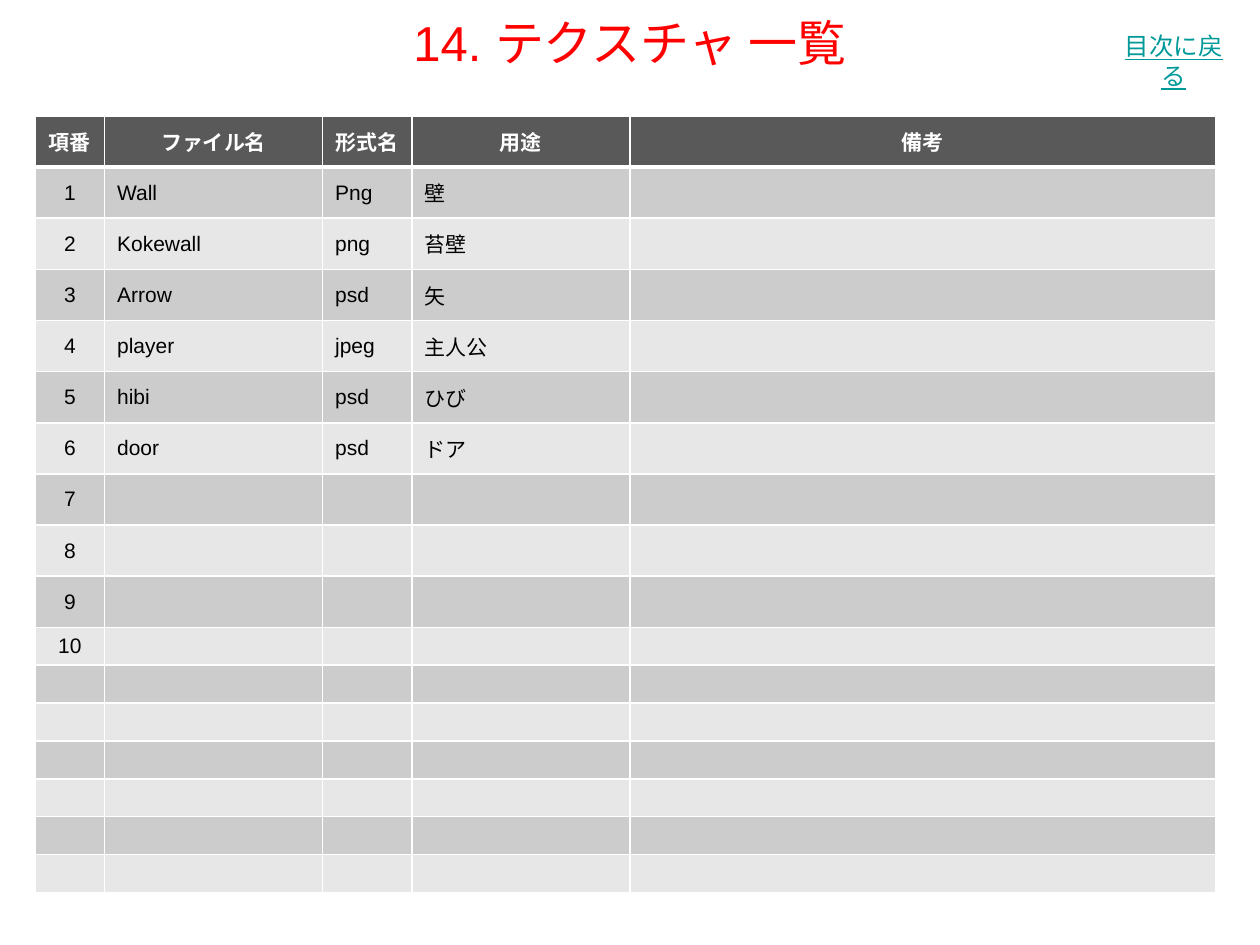
from pptx import Presentation
from pptx.dml.color import RGBColor
from pptx.enum.text import MSO_ANCHOR, PP_ALIGN
from pptx.oxml.ns import qn
from pptx.util import Inches, Pt
from lxml.etree import SubElement

# Content
TITLE = "14. テクスチャ 一覧"
BACK_TO_CONTENTS = "目次に戻る"
HEADERS = ["項番", "ファイル名", "形式名", "用途", "備考"]
TEXTURES = [
    ("Wall", "Png", "壁"),
    ("Kokewall", "png", "苔壁"),
    ("Arrow", "psd", "矢"),
    ("player", "jpeg", "主人公"),
    ("hibi", "psd", "ひび"),
    ("door", "psd", "ドア"),
]
NUMBERED_ROWS = 10
BODY_ROWS = 16

# Measures and colours
COLUMN_WIDTHS = [0.55, 1.73, 0.71, 1.73, 4.65]
TALL_ROWS, TALL, SHORT = 10, 0.406, 0.3
FONT = "Arial"
RED = RGBColor(0xFF, 0x00, 0x00)
TEAL = RGBColor(0x00, 0x99, 0x99)
WHITE = RGBColor(0xFF, 0xFF, 0xFF)
BLACK = RGBColor(0x00, 0x00, 0x00)
HEADER_GRAY = RGBColor(0x59, 0x59, 0x59)
BANDS = [RGBColor(0xCC, 0xCC, 0xCC), RGBColor(0xE7, 0xE7, 0xE7)]


def format_text(paragraph, size, color, bold=False, underline=False):
    for run in paragraph.runs:
        font = run.font
        font.name, font.size, font.bold = FONT, Pt(size), bold
        font.underline = underline
        font.color.rgb = color


def place(shape, left, top, width, height):
    shape.left, shape.top = Inches(left), Inches(top)
    shape.width, shape.height = Inches(width), Inches(height)


def set_borders(cell, **widths):
    properties = cell._tc.get_or_add_tcPr()
    for side in "LRTB":
        line = SubElement(properties, qn(f"a:ln{side}"), w=str(Pt(widths.get(side, 1))))
        fill = SubElement(line, qn("a:solidFill"))
        SubElement(fill, qn("a:srgbClr"), val=str(WHITE))


def table_rows():
    yield HEADERS
    for number in range(1, BODY_ROWS + 1):
        label = str(number) if number <= NUMBERED_ROWS else ""
        texture = TEXTURES[number - 1] if number <= len(TEXTURES) else ("", "", "")
        yield [label, *texture, ""]


def fill_cell(cell, text, row, column):
    is_header = row == 0
    set_borders(cell, B=3 if is_header else 1, T=3 if row == 1 else 1)
    cell.fill.solid()
    cell.fill.fore_color.rgb = HEADER_GRAY if is_header else BANDS[(row - 1) % 2]
    cell.vertical_anchor = MSO_ANCHOR.MIDDLE
    paragraph = cell.text_frame.paragraphs[0]
    if text:
        paragraph.text = text
        centred = is_header or column == 0
        paragraph.alignment = PP_ALIGN.CENTER if centred else PP_ALIGN.LEFT
        format_text(paragraph, 12, WHITE if is_header else BLACK, bold=is_header)
    else:
        # Keeps empty cells from stretching the short rows
        SubElement(paragraph._p, qn("a:endParaRPr"), sz="1200")


def main():
    presentation = Presentation()
    presentation.slide_width, presentation.slide_height = Inches(10), Inches(7.5)
    slide = presentation.slides.add_slide(presentation.slide_layouts[5])

    # Title
    title = slide.shapes.title
    place(title, 0, -0.02, 10, 0.7)
    title.text_frame.text = TITLE
    title.text_frame.vertical_anchor = MSO_ANCHOR.MIDDLE
    heading = title.text_frame.paragraphs[0]
    heading.alignment = PP_ALIGN.CENTER
    format_text(heading, 28, RED)

    # Back to contents
    back = slide.shapes.add_textbox(Inches(8.74), Inches(0.2), Inches(1.15), Inches(0.34))
    back.text_frame.text = BACK_TO_CONTENTS
    back.text_frame.word_wrap = True
    back_label = back.text_frame.paragraphs[0]
    back_label.alignment = PP_ALIGN.CENTER
    format_text(back_label, 14, TEAL, underline=True)

    # Texture table
    heights = [TALL if row < TALL_ROWS else SHORT for row in range(BODY_ROWS + 1)]
    textures = slide.shapes.add_table(
        len(heights), len(HEADERS), Inches(0.28), Inches(0.92),
        Inches(sum(COLUMN_WIDTHS)), Inches(sum(heights))).table
    textures.horz_banding = False
    for column, width in zip(textures.columns, COLUMN_WIDTHS):
        column.width = Inches(width)
    for row, height in zip(textures.rows, heights):
        row.height = Inches(height)
    for row, texts in enumerate(table_rows()):
        for column, text in enumerate(texts):
            fill_cell(textures.cell(row, column), text, row, column)

    presentation.save("out.pptx")


if __name__ == "__main__":
    main()
